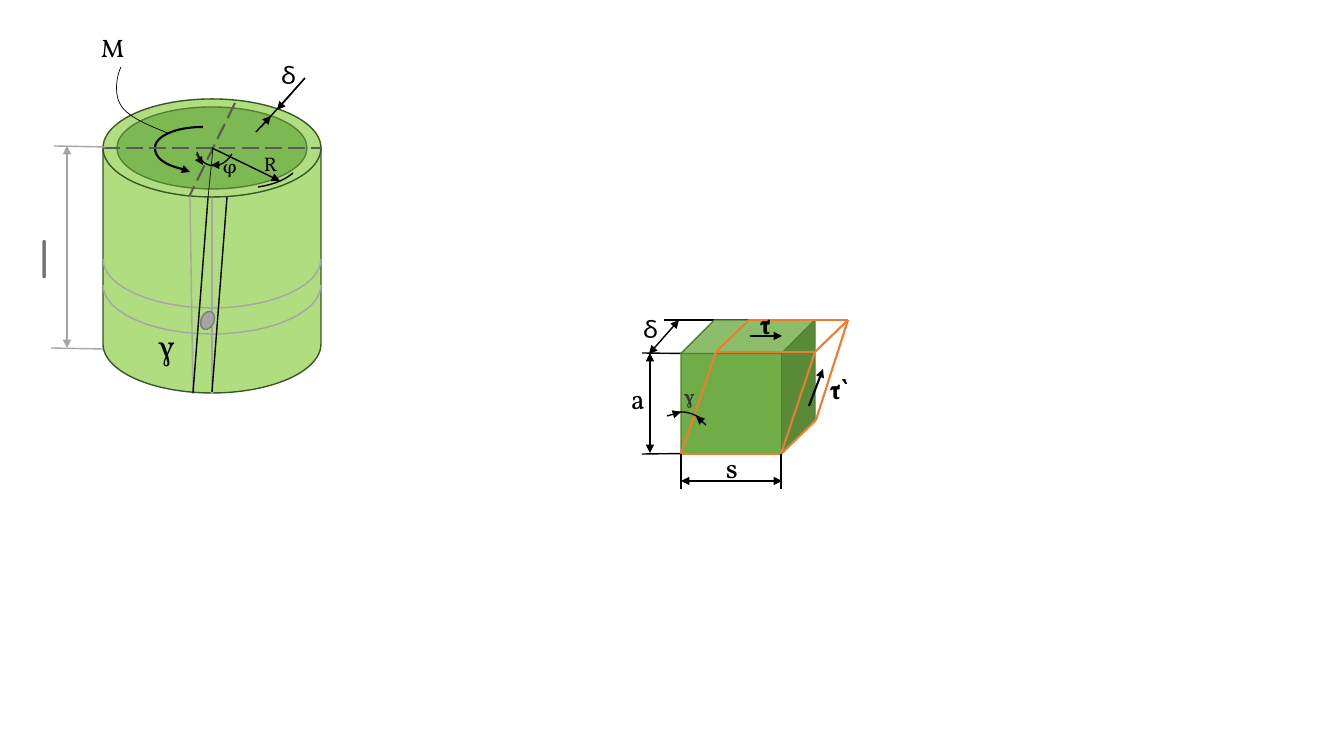
import pptx
import pptx.dml.color
import pptx.enum.dml
import pptx.enum.shapes
import pptx.oxml.ns
import pptx.util
from lxml import etree

SCALE = 914400 / 100.8
FONT = "Vollkorn"
RGBColor = pptx.dml.color.RGBColor
SHAPES = pptx.enum.shapes.MSO_SHAPE
BLACK = RGBColor(0x00, 0x00, 0x00)
NEAR_BLACK = RGBColor(0x0D, 0x0D, 0x0D)
CHARCOAL = RGBColor(0x33, 0x33, 0x33)
DARK_GRAY = RGBColor(0x59, 0x59, 0x59)
LENGTH_GRAY = RGBColor(0x76, 0x71, 0x71)
ELEMENT_EDGE = RGBColor(0x7A, 0x7A, 0x7A)
GRAY = RGBColor(0xA5, 0xA5, 0xA5)
ORANGE = RGBColor(0xED, 0x7D, 0x31)
CUBE_GREEN = RGBColor(0x70, 0xAD, 0x47)
EDGE_GREEN = RGBColor(0x53, 0x80, 0x35)
WALL_GREEN = RGBColor(0xB0, 0xDD, 0x7F)
WALL_EDGE = RGBColor(0x38, 0x57, 0x23)
HOLE_GREEN = RGBColor(0x7C, 0xB9, 0x53)


def emu(pixels):
    """Turn pixels into EMU."""
    return pptx.util.Emu(round(pixels * SCALE))


def bezier(points, steps=12):
    """Sample a chain of cubic curves that share their end points."""
    samples = [points[0]]
    for first in range(0, len(points) - 1, 3):
        for step in range(1, steps + 1):
            t = step / steps
            weights = ((1 - t) ** 3, 3 * t * (1 - t) ** 2, 3 * t * t * (1 - t), t ** 3)
            section = points[first:first + 4]
            samples.append(tuple(sum(weight * point[axis] for weight, point in zip(weights, section))
                                 for axis in (0, 1)))
    return samples


class Region:
    """A box on the slide in which parts are placed by offset."""

    def __init__(self, slide, left, top):
        """Keep the shapes of the slide and the corner of the box."""
        self.shapes = slide.shapes
        self.left = left
        self.top = top

    def at(self, x, y):
        """Return the slide position of an offset."""
        return emu(self.left + x), emu(self.top + y)

    def line(self, start, end, color=BLACK, width=1, ends="", dashed=False):
        """Draw a straight line, with arrowheads at the named ends."""
        connector = self.shapes.add_connector(
            pptx.enum.shapes.MSO_CONNECTOR.STRAIGHT, *self.at(*start), *self.at(*end))
        connector.line.color.rgb = color
        connector.line.width = pptx.util.Pt(width)
        if dashed:
            connector.line.dash_style = pptx.enum.dml.MSO_LINE.LONG_DASH
        properties = connector._element.spPr
        outline = properties.find(pptx.oxml.ns.qn("a:ln"))
        for name in ends.split():
            etree.SubElement(outline, pptx.oxml.ns.qn(f"a:{name}End"), type="triangle")
        etree.SubElement(properties, pptx.oxml.ns.qn("a:effectLst"))

    def curve(self, points, color=BLACK, width=1):
        """Draw an open curve through a chain of control points."""
        start, *others = [self.at(*point) for point in bezier(points)]
        builder = self.shapes.build_freeform(*start)
        builder.add_line_segments(others, close=False)
        shape = builder.convert_to_shape()
        shape.shadow.inherit = False
        shape.fill.background()
        shape.line.color.rgb = color
        shape.line.width = pptx.util.Pt(width)

    def solid(self, kind, left, top, width, height, fill, edge, rotation=0):
        """Draw a filled preset shape."""
        shape = self.shapes.add_shape(kind, *self.at(left, top), emu(width), emu(height))
        shape.shadow.inherit = False
        shape.fill.solid()
        shape.fill.fore_color.rgb = fill
        shape.line.color.rgb = edge
        shape.line.width = pptx.util.Pt(1)
        shape.rotation = rotation

    def label(self, text, left, top, width, height, size, color=BLACK, font=FONT, bold=False, wrap=False):
        """Write one symbol."""
        box = self.shapes.add_textbox(*self.at(left, top), emu(width), emu(height))
        box.text_frame.word_wrap = wrap
        paragraph = box.text_frame.paragraphs[0]
        paragraph.text = text
        paragraph.font.name = font
        paragraph.font.size = pptx.util.Pt(size)
        paragraph.font.bold = bold
        paragraph.font.color.rgb = color


def draw_cylinder(slide, left, top):
    """Draw the twisted thin-walled tube with its dimensions."""
    tube = Region(slide, left, top)
    tube.solid(SHAPES.FLOWCHART_MAGNETIC_DISK, 103, 99, 218, 294, WALL_GREEN, WALL_EDGE)
    tube.solid(SHAPES.OVAL, 117, 107, 190, 82, HOLE_GREEN, EDGE_GREEN)

    tube.curve([(203, 127), (176, 127), (155, 136), (155, 148),
                (155, 158), (165, 165), (182, 169)], width=1.5)
    tube.line((182, 169), (190, 172), width=1.5, ends="tail")
    tube.curve([(170, 134), (150, 126), (130, 118), (122, 107),
                (113, 95), (117, 75), (121, 67)], width=0.5)
    tube.label("M", 91, 27, 44, 40, 18)

    tube.line((235, 103), (189, 197), DARK_GRAY, 1.5, dashed=True)
    tube.line((103, 148), (321, 148), DARK_GRAY, 1.5, dashed=True)
    tube.line((305, 78), (261, 127))
    tube.line((305, 78), (277, 110), ends="tail")
    tube.line((256, 132), (271, 116), ends="tail")
    tube.label("ᵟ", 271, 51, 31, 57, 28)
    tube.line((212, 148), (280, 181), ends="tail")
    tube.curve([(293, 173), (284, 181), (271, 185), (258, 187)])
    tube.label("R", 254, 147, 33, 34, 14)

    for level in (285, 259):
        tube.curve([(103, level), (103, level + 27), (152, level + 49), (212, level + 49),
                    (272, level + 49), (321, level + 27), (321, level)], GRAY)
    tube.line((190, 196), (193, 394), GRAY)
    tube.line((212, 198), (212, 394), GRAY)
    tube.line((227, 197), (212, 392))
    tube.line((208, 198), (193, 393))
    tube.solid(SHAPES.OVAL, 201, 311, 13, 19, GRAY, ELEMENT_EDGE, 22.7)

    tube.line((103, 349), (51, 348), GRAY)
    tube.line((106, 147), (54, 146), GRAY)
    tube.line((67, 146), (67, 348), GRAY, ends="head tail")
    tube.label("l", 29, 218, 25, 78, 40, LENGTH_GRAY, "Comic Neue", wrap=True)

    tube.curve([(197, 152), (202, 169), (222, 171), (232, 154)], NEAR_BLACK)
    tube.line((196, 154), (203, 165), NEAR_BLACK, 0.5, "tail")
    tube.line((220, 165), (211, 165), NEAR_BLACK, 0.5, "tail")
    tube.label("γ", 148, 320, 36, 50, 24, wrap=True)
    tube.line((213, 148), (208, 198), width=0.5)
    tube.label("φ", 213, 149, 42, 34, 14, wrap=True)


def draw_element(slide, left, top):
    """Draw the sheared cube cut from the wall, with its dimensions."""
    element = Region(slide, left, top)
    element.line((42, 154), (132, 153))
    element.line((64, 20), (150, 20))
    element.line((42, 53), (131, 54))
    element.solid(SHAPES.CUBE, 81, 20, 134, 134, CUBE_GREEN, EDGE_GREEN)

    front_left, front_right = (81, 154), (181, 154)
    top_left, top_right = (116, 52), (215, 52)
    back_left, back_right, back_bottom = (149, 20), (248, 20), (216, 120)
    for start, end in ((front_left, top_left), (front_right, top_right), (top_left, top_right),
                       (top_left, back_left), (back_left, back_right), (top_right, back_right),
                       (front_left, front_right), (front_right, back_bottom), (back_bottom, back_right)):
        element.line(start, end, ORANGE, 1.5)

    element.line((49, 54), (79, 20), ends="head tail")
    element.label("ᵟ", 33, 5, 31, 57, 28)
    element.line((50, 153), (50, 53), ends="head tail")
    element.label("a", 21, 77, 34, 44, 20)

    element.curve([(74, 113), (84, 110), (94, 114), (100, 118)])
    element.line((67, 116), (81, 112), ends="tail")
    element.line((106, 125), (96, 116), ends="tail")
    element.label("γ", 74, 79, 32, 34, 14, CHARCOAL, bold=True)

    for x in (81, 181):
        element.line((x, 189), (x, 154))
    element.line((81, 181), (182, 181), ends="head tail")
    element.label("s", 116, 146, 32, 44, 20)
    element.line((150, 36), (182, 36), width=1.5, ends="tail")
    element.label("τ", 150, 2, 35, 44, 20, bold=True)
    element.line((209, 106), (223, 69), width=1.5, ends="tail")
    element.label("τ`", 220, 67, 44, 44, 20, bold=True)


presentation = pptx.Presentation()
presentation.slide_width = emu(1344)
presentation.slide_height = emu(756)
slide = presentation.slides.add_slide(presentation.slide_layouts[6])
draw_cylinder(slide, 0, 0)
draw_element(slide, 600, 300)
presentation.save("out.pptx")
